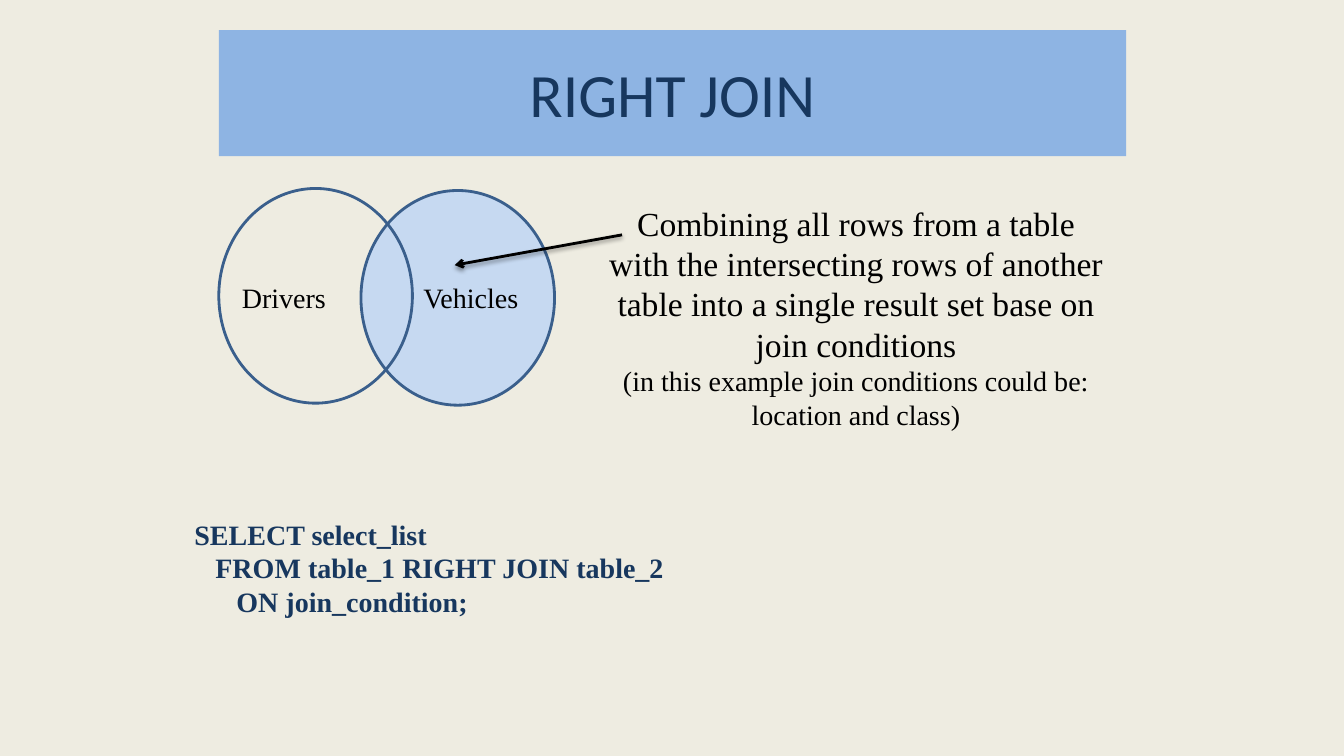
from dataclasses import dataclass

from lxml import etree
from pptx import Presentation
from pptx import util as u
from pptx.dml.color import RGBColor
from pptx.enum import shapes, text
from pptx.oxml import parse_xml
from pptx.oxml.ns import nsdecls, qn


@dataclass(frozen=True)
class Theme:
    background: str = "EEECE1"
    banner: str = "8EB4E3"
    navy: str = "17375E"
    outline: str = "3A5F8C"
    highlight: str = "C6D9F1"
    ink: str = "000000"
    heading_font: str = "Calibri"
    body_font: str = "Times New Roman"
    heading: int = 44
    lead: int = 24
    body: int = 20
    stroke: int = 2


theme = Theme()


def rgb(value):
    return RGBColor.from_string(value)


def write(frame, lines, color, font=theme.body_font, align=None, bold=False):
    """Fill a frame with (words, size) lines, one paragraph each."""
    frame.word_wrap = True
    frame.text = "\n".join(words for words, _ in lines)
    for paragraph, (_, size) in zip(frame.paragraphs, lines):
        paragraph.alignment = align
        for run in paragraph.runs:
            run.font.name = font
            run.font.size = u.Pt(size)
            run.font.bold = bold
            run.font.color.rgb = rgb(color)


prs = Presentation()
prs.slide_width, prs.slide_height = u.Inches(13.33), u.Inches(7.5)
slide = prs.slides.add_slide(prs.slide_layouts.get_by_name("Title Only"))
slide.background.fill.solid()
slide.background.fill.fore_color.rgb = rgb(theme.background)

# Title banner
title = slide.shapes.title
title.left, title.top = u.Inches(2.17), u.Inches(0.3)
title.width, title.height = u.Inches(9), u.Inches(1.25)
title.fill.solid()
title.fill.fore_color.rgb = rgb(theme.banner)
title.text_frame.vertical_anchor = text.MSO_ANCHOR.MIDDLE
write(title.text_frame, [("RIGHT JOIN", theme.heading)], theme.navy,
      theme.heading_font, text.PP_ALIGN.CENTER)

# Venn diagram: the right-hand set is shaded
venn = slide.shapes.add_group_shape()
for left, top, shaded in [(3.58, 1.89, True), (2.17, 1.87, False)]:
    table_set = venn.shapes.add_shape(
        shapes.MSO_SHAPE.OVAL, u.Inches(left), u.Inches(top),
        u.Inches(1.92), u.Inches(2.13))
    table_set.shadow.inherit = False
    table_set.line.color.rgb = rgb(theme.outline)
    table_set.line.width = u.Pt(theme.stroke)
    if shaded:
        table_set.fill.solid()
        table_set.fill.fore_color.rgb = rgb(theme.highlight)
    else:
        table_set.fill.background()

# Explanation
explanation = slide.shapes.add_textbox(
    u.Inches(5.92), u.Inches(1.96), u.Inches(5.14), u.Inches(2.39))
write(explanation.text_frame, [
    ("Combining all rows from a table with the intersecting rows of another "
     "table into a single result set base on join conditions", theme.lead),
    ("(in this example join conditions could be: location and class)",
     theme.body),
], theme.ink, align=text.PP_ALIGN.CENTER)

# Arrow from the explanation to the shaded set
pointer = slide.shapes.add_connector(
    shapes.MSO_CONNECTOR.STRAIGHT,
    u.Inches(6.17), u.Inches(2.33), u.Inches(4.51), u.Inches(2.63))
pointer.line.color.rgb = rgb(theme.ink)
pointer.line.width = u.Pt(theme.stroke)
etree.SubElement(pointer.line._get_or_add_ln(), qn("a:tailEnd"), type="arrow")
pointer._element.spPr.append(parse_xml(
    f'<a:effectLst {nsdecls("a")}>'
    f'<a:outerShdw blurRad="{u.Pt(3.1)}" dist="{u.Pt(1.6)}" dir="5400000" '
    f'rotWithShape="0"><a:srgbClr val="{theme.ink}"><a:alpha val="38000"/>'
    '</a:srgbClr></a:outerShdw></a:effectLst>'))

# Syntax, each clause one step further in
syntax = slide.shapes.add_textbox(
    u.Inches(1.83), u.Inches(5.08), u.Inches(6.16), u.Inches(1.11))
clauses = ["SELECT select_list", "FROM table_1 RIGHT JOIN table_2",
           "ON join_condition;"]
write(syntax.text_frame, [(clause, theme.body) for clause in clauses],
      theme.navy, bold=True)
for step, paragraph in enumerate(syntax.text_frame.paragraphs):
    paragraph._p.get_or_add_pPr().set("marL", str(step * u.Pt(15)))

# Set names
for left, name in [(2.3, "Drivers"), (4.1, "Vehicles")]:
    label = slide.shapes.add_textbox(
        u.Inches(left), u.Inches(2.73), u.Inches(1.16), u.Inches(0.44))
    write(label.text_frame, [(name, theme.body)], theme.ink)

prs.save("out.pptx")
